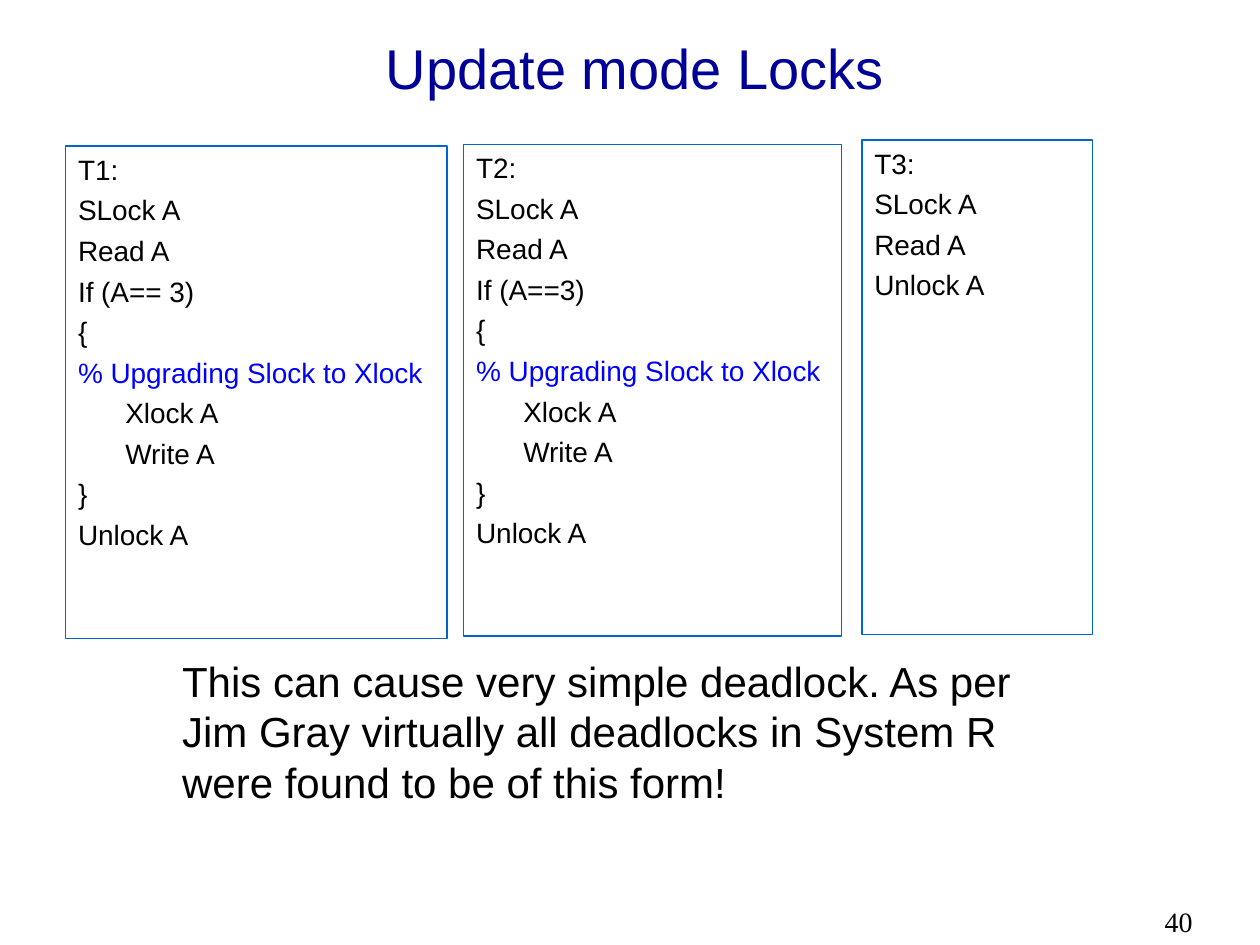
import pptx
import pptx.util
import pptx.dml.color
import pptx.enum.shapes
import pptx.enum.text

Pt = pptx.util.Pt
ALIGN = pptx.enum.text.PP_ALIGN
ANCHOR = pptx.enum.text.MSO_ANCHOR

HUES = {"title": "000099", "text": "000000", "note": "0000FF", "edge": "0066CC"}


def swap(test):
    return ["SLock A", "Read A", test, "{", "% Upgrading Slock to Xlock",
            "\tXlock A", "\tWrite A", "}", "Unlock A"]


PANES = [
    ((37.5, 83.5, 218, 281.5), ["T1:"] + swap("If (A== 3)")),
    ((265, 82.5, 216, 281), ["T2:"] + swap("If (A==3)")),
    ((492.5, 80, 132, 282.5), ["T3:", "SLock A", "Read A", "Unlock A"]),
]
TITLE = "Update mode Locks"
CLAIM = ("This can cause very simple deadlock. As per Jim Gray virtually all "
         "deadlocks in System R were found to be of this form!")
PAGE = "40"
STEP = 27


def tint(name):
    return pptx.dml.color.RGBColor.from_string(HUES[name])


def write(para, text, size, hue="text", font="Arial"):
    run = para.add_run()
    run.text = text
    run.font.size = Pt(size)
    run.font.name = font
    run.font.color.rgb = tint(hue)


def frame(shape, anchor=ANCHOR.TOP):
    body = shape.text_frame
    body.word_wrap = True
    body.vertical_anchor = anchor
    body.margin_left = body.margin_right = Pt(7.2)
    body.margin_top = body.margin_bottom = Pt(3.6)
    return body


def label(slide, area, text, size, align=ALIGN.LEFT, anchor=ANCHOR.TOP, **style):
    box = slide.shapes.add_textbox(*map(Pt, area))
    para = frame(box, anchor).paragraphs[0]
    para.alignment = align
    write(para, text, size, **style)


def pane(slide, area, lines):
    kind = pptx.enum.shapes.MSO_SHAPE.RECTANGLE
    box = slide.shapes.add_shape(kind, *map(Pt, area))
    box.shadow.inherit = False
    box.fill.background()
    box.line.color.rgb = tint("edge")
    box.line.width = Pt(0.75)
    body = frame(box)
    for row, line in enumerate(lines):
        para = body.add_paragraph() if row else body.paragraphs[0]
        para.alignment = ALIGN.LEFT
        para.line_spacing = Pt(19.2)
        para.space_before = Pt(4 if row else 0)
        props = para._p.get_or_add_pPr()
        props.set("marL", str(Pt(STEP)))
        props.set("indent", str(-Pt(STEP)))
        write(para, line, 16, "note" if line.startswith("%") else "text")


def main():
    deck = pptx.Presentation()
    deck.slide_width, deck.slide_height = Pt(720), Pt(540)
    slide = deck.slides.add_slide(deck.slide_layouts[6])
    label(slide, (57, 13.5, 612, 50), TITLE, 32, ALIGN.CENTER, ANCHOR.MIDDLE,
          hue="title")
    for area, lines in PANES:
        pane(slide, area, lines)
    label(slide, (97, 371, 515.5, 93.5), CLAIM, 24)
    label(slide, (658.5, 513.5, 61, 26.5), PAGE, 16, font="Times New Roman")
    deck.save("out.pptx")


if __name__ == "__main__":
    main()
